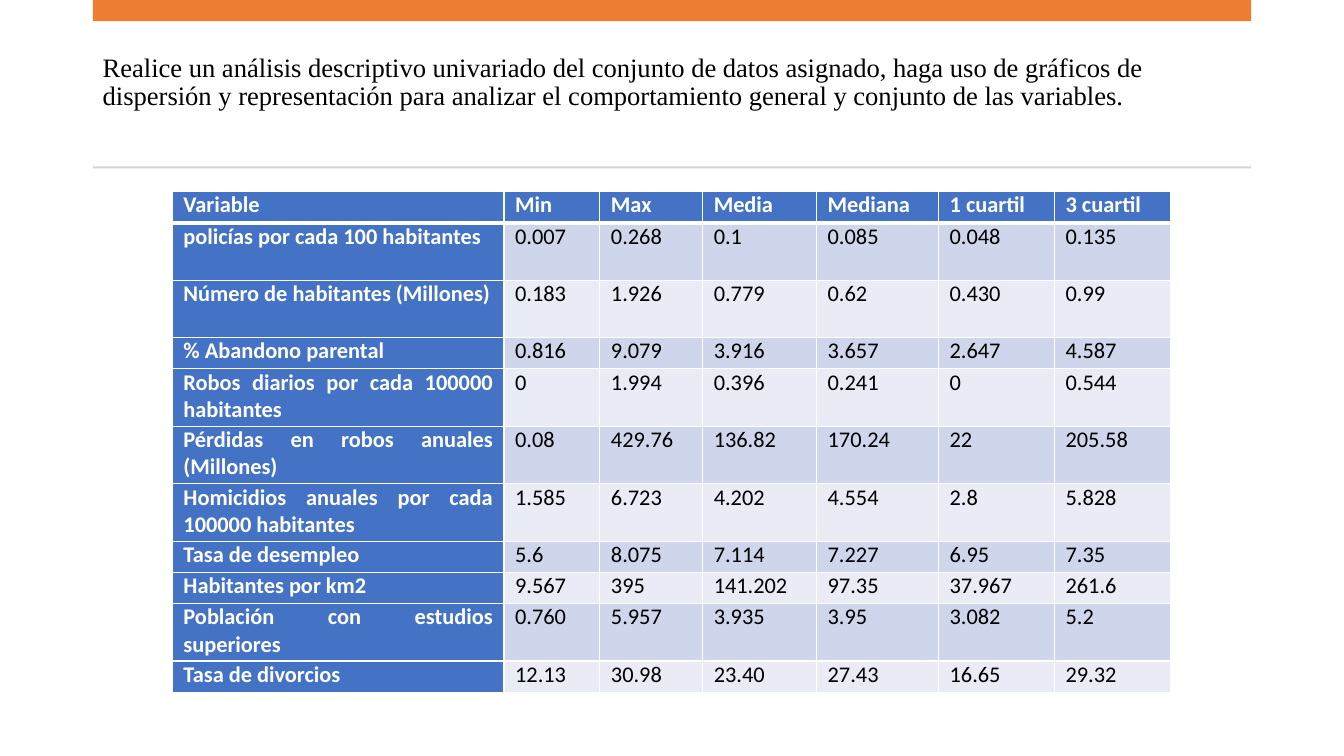
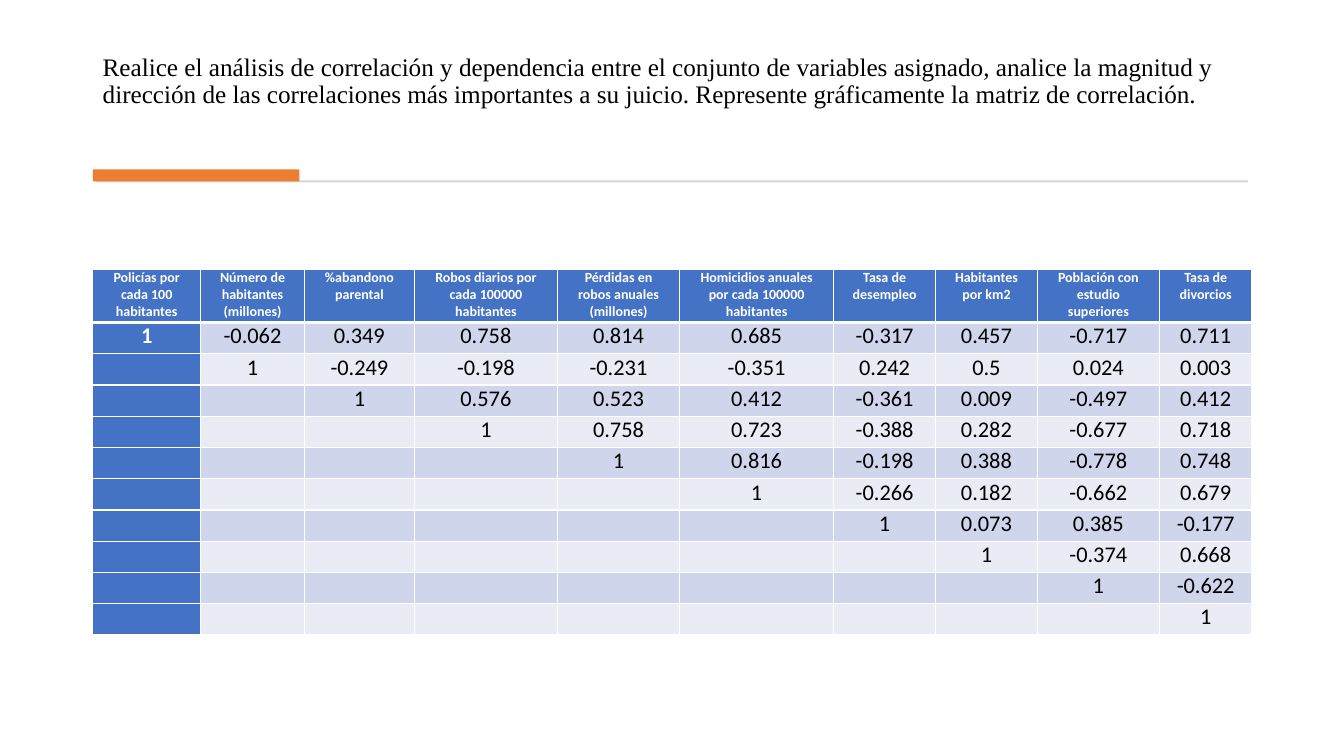
import pptx
import pptx.util
import pptx.dml.color
import pptx.enum.shapes
import pptx.enum.text
import pptx.oxml
import pptx.oxml.ns

Inches, Pt = pptx.util.Inches, pptx.util.Pt
ALIGN = pptx.enum.text.PP_ALIGN
ANCHOR = pptx.enum.text.MSO_ANCHOR

SUMMARY = [
    ["Variable", "Min", "Max", "Media", "Mediana", "1 cuartil", "3 cuartil"],
    ["policías por cada 100 habitantes", "0.007", "0.268", "0.1", "0.085", "0.048", "0.135"],
    ["Número de habitantes (Millones)", "0.183", "1.926", "0.779", "0.62", "0.430", "0.99"],
    ["% Abandono parental", "0.816", "9.079", "3.916", "3.657", "2.647", "4.587"],
    ["Robos diarios por cada 100000 habitantes", "0", "1.994", "0.396", "0.241", "0", "0.544"],
    ["Pérdidas en robos anuales (Millones)", "0.08", "429.76", "136.82", "170.24", "22", "205.58"],
    ["Homicidios anuales por cada 100000 habitantes", "1.585", "6.723", "4.202", "4.554", "2.8", "5.828"],
    ["Tasa de desempleo", "5.6", "8.075", "7.114", "7.227", "6.95", "7.35"],
    ["Habitantes por km2", "9.567", "395", "141.202", "97.35", "37.967", "261.6"],
    ["Población con estudios superiores", "0.760", "5.957", "3.935", "3.95", "3.082", "5.2"],
    ["Tasa de divorcios", "12.13", "30.98", "23.40", "27.43", "16.65", "29.32"],
]

VARIABLES = [
    "Policías por cada 100 habitantes", "Número de habitantes (millones)",
    "%abandono parental", "Robos diarios por cada 100000 habitantes",
    "Pérdidas en robos anuales (millones)",
    "Homicidios anuales por cada 100000 habitantes", "Tasa de desempleo",
    "Habitantes por km2", "Población con estudio superiores", "Tasa de divorcios",
]

# Upper triangle, from the diagonal to the right
CORRELATIONS = [
    ["1", "-0.062", "0.349", "0.758", "0.814", "0.685", "-0.317", "0.457", "-0.717", "0.711"],
    ["1", "-0.249", "-0.198", "-0.231", "-0.351", "0.242", "0.5", "0.024", "0.003"],
    ["1", "0.576", "0.523", "0.412", "-0.361", "0.009", "-0.497", "0.412"],
    ["1", "0.758", "0.723", "-0.388", "0.282", "-0.677", "0.718"],
    ["1", "0.816", "-0.198", "0.388", "-0.778", "0.748"],
    ["1", "-0.266", "0.182", "-0.662", "0.679"],
    ["1", "0.073", "0.385", "-0.177"],
    ["1", "-0.374", "0.668"],
    ["1", "-0.622"],
    ["1"],
]


class Deck:
    COLORS = {"accent": "ED7D31", "rule": "D5D5D5", "head": "4472C4", "odd": "CFD5EA",
              "even": "E9EBF5", "white": "FFFFFF", "black": "000000"}
    TITLE_FONT, TABLE_FONT = "Times New Roman", "Calibri"
    BODY_SIZE = 16
    LEFT, WIDTH = 0.92, 11.49

    def __init__(self):
        self.prs = pptx.Presentation()
        self.prs.slide_width, self.prs.slide_height = Inches(13.33), Inches(7.5)
        self.s = None

    def color(self, name):
        return pptx.dml.color.RGBColor.from_string(self.COLORS[name])

    def slide(self):
        self.s = self.prs.slides.add_slide(self.prs.slide_layouts[6])

    def format(self, p, font, size, color, bold=False):
        for r in p.runs:
            r.font.name, r.font.size, r.font.bold = font, Pt(size), bold
            r.font.color.rgb = self.color(color)

    def title(self, text, top, height, size, anchor):
        """Add a title that keeps one free line below its text."""
        sp = self.s.shapes.add_textbox(Inches(self.LEFT), Inches(top),
                                       Inches(self.WIDTH), Inches(height))
        tf = sp.text_frame
        tf.word_wrap, tf.vertical_anchor = True, anchor
        tf.margin_bottom = Inches(0.05) + Pt(size * 0.9 * 1.15)
        tf.text = text
        p = tf.paragraphs[0]
        p.line_spacing = 0.9
        self.format(p, self.TITLE_FONT, size, "black")

    def bar(self, left, top, width, height, color):
        sp = self.s.shapes.add_shape(pptx.enum.shapes.MSO_SHAPE.RECTANGLE, Inches(left),
                                     Inches(top), Inches(width), Inches(height))
        sp.shadow.inherit = False
        sp.fill.solid()
        sp.fill.fore_color.rgb = self.color(color)
        sp.line.fill.background()

    def borders(self, cell, bottom):
        tcPr = cell._tc.get_or_add_tcPr()
        for i, side in enumerate("LRTB"):
            width = Pt(bottom if side == "B" else 1)
            tcPr.insert(i, pptx.oxml.parse_xml(
                f'<a:ln{side} {pptx.oxml.ns.nsdecls("a")} w="{width}"><a:solidFill>'
                f'<a:srgbClr val="{self.COLORS["white"]}"/></a:solidFill></a:ln{side}>'))

    def table(self, left, top, widths, heights, rows, align, inset, head_size=BODY_SIZE):
        """Add a banded table with a coloured first row and first column."""
        tbl = self.s.shapes.add_table(len(rows), len(widths), Inches(left), Inches(top),
                                      Inches(sum(widths)), Inches(sum(heights))).table
        tbl.first_col = True
        for column, width in zip(tbl.columns, widths):
            column.width = Inches(width)
        for i, (row, height) in enumerate(zip(rows, heights)):
            tbl.rows[i].height = Inches(height)
            for j, text in enumerate(row):
                cell = tbl.cell(i, j)
                head = i == 0 or j == 0
                cell.margin_left = cell.margin_right = Inches(inset)
                cell.margin_top = cell.margin_bottom = 0
                cell.fill.solid()
                cell.fill.fore_color.rgb = self.color(
                    "head" if head else "odd" if i % 2 else "even")
                self.borders(cell, 3 if i == 0 else 1)
                if text:
                    cell.text_frame.text = text
                    p = cell.text_frame.paragraphs[0]
                    p.alignment = align
                    p.space_before = p.space_after = Pt(6)
                    self.format(p, self.TABLE_FONT, self.BODY_SIZE if i else head_size,
                                "white" if head else "black", head)


def summary_slide(deck):
    deck.slide()
    deck.title("Realice un análisis descriptivo univariado del conjunto de datos asignado, "
               "haga uso de gráficos de dispersión y representación para analizar el "
               "comportamiento general y conjunto de las variables.",
               0.37, 1.18, 19, ANCHOR.MIDDLE)
    deck.bar(deck.LEFT, 0, deck.WIDTH, 0.21, "accent")
    deck.bar(deck.LEFT, 1.65, deck.WIDTH, 0.02, "rule")
    one, two = 0.31, 0.57
    deck.table(1.71, 1.9, [3.29, 0.95, 1.02, 1.13, 1.21, 1.15, 1.15],
               [one, two, two, one, two, two, two, one, one, two, one],
               SUMMARY, ALIGN.JUSTIFY, 0.11)


def correlation_slide(deck):
    deck.slide()
    deck.title("Realice el análisis de correlación y dependencia entre el conjunto de "
               "variables asignado, analice la magnitud y dirección de las correlaciones más "
               "importantes a su juicio. Represente gráficamente la matriz de correlación.",
               0.28, 1.11, 18, ANCHOR.BOTTOM)
    deck.bar(0.95, 1.79, 11.43, 0.02, "rule")
    deck.bar(deck.LEFT, 1.68, 2.05, 0.12, "accent")
    matrix = [[""] * i + values for i, values in enumerate(CORRELATIONS)]
    deck.table(deck.LEFT, 2.67,
               [1.07, 1.03, 1.09, 1.42, 1.21, 1.53, 1.01, 1.01, 1.21, 0.92],
               [0.53] + [0.31] * len(matrix), [VARIABLES] + matrix,
               ALIGN.CENTER, 0.12, head_size=10)


def main():
    deck = Deck()
    summary_slide(deck)
    correlation_slide(deck)
    deck.prs.save("out.pptx")


if __name__ == "__main__":
    main()
